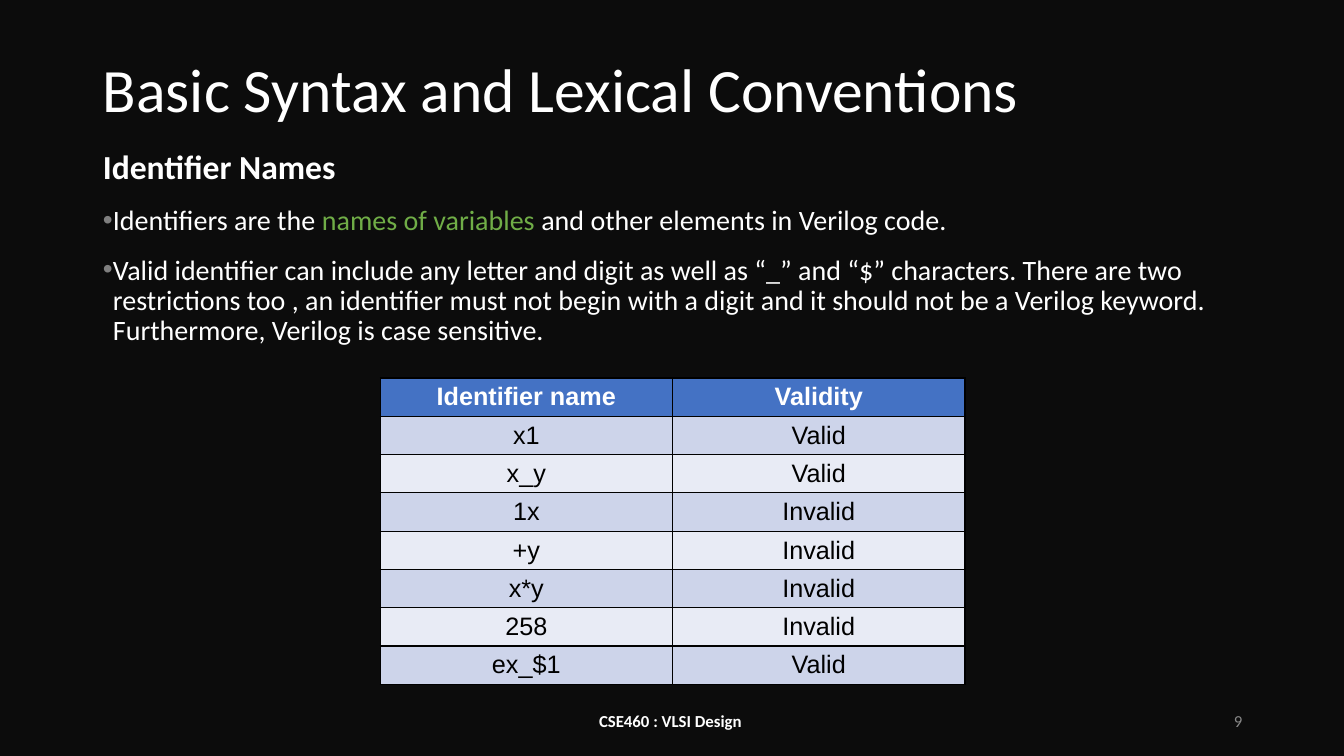
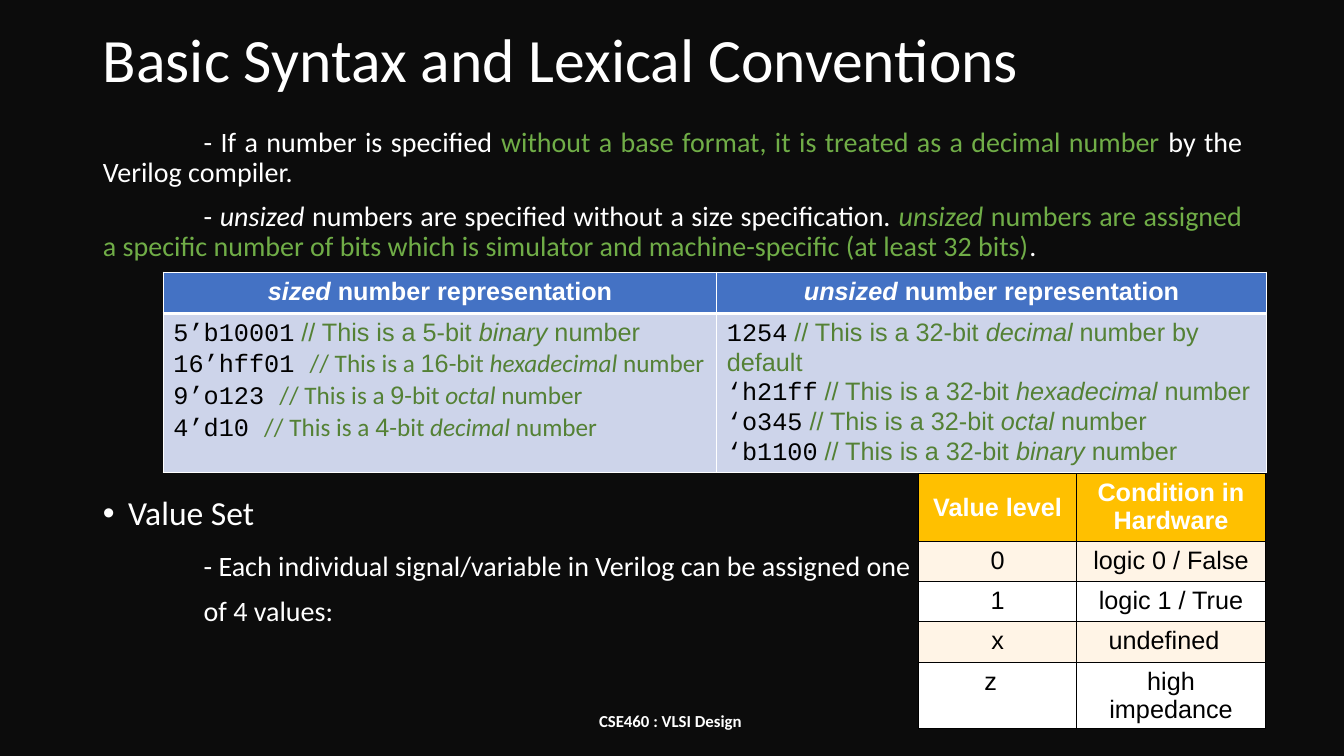
"""Build two lecture slides on Verilog syntax and lexical conventions."""
from dataclasses import dataclass
from typing import Optional, Sequence

from pptx import Presentation
from pptx.dml.color import RGBColor
from pptx.enum.text import MSO_ANCHOR, MSO_AUTO_SIZE, PP_ALIGN
from pptx.oxml.ns import qn
from pptx.slide import Slide
from pptx.text.text import TextFrame
from pptx.util import Inches, Pt
from lxml import etree

LEFT, CENTER, RIGHT, JUSTIFY = PP_ALIGN.LEFT, PP_ALIGN.CENTER, PP_ALIGN.RIGHT, PP_ALIGN.JUSTIFY
TOP, MIDDLE = MSO_ANCHOR.TOP, MSO_ANCHOR.MIDDLE
NO_AUTOFIT = MSO_AUTO_SIZE.NONE

BACKDROP, WHITE, BLACK = "0C0C0C", "FFFFFF", "000000"
GREEN, COMMENT_GREEN = "70AD47", "548135"
GRAY, BULLET_GRAY = "888888", "7F7F7F"
BLUE, BLUE_BANDS = "4472C4", ("CDD4EA", "E8EBF5")
GOLD, GOLD_BANDS = "FFC000", ("FFF4E6", "FFFFFF")
SANS, TABLE_FONT, CODE_FONT = "Calibri", "Arial", "Courier New"
TITLE = "Basic Syntax and Lexical Conventions"
COURSE = "CSE460 : VLSI Design"
MARGIN, CONTENT_WIDTH = 0.92, 11.5


@dataclass(frozen=True)
class Span:
    """A run of text with its look."""
    text: str
    color: str = WHITE
    size: float = 20
    font: str = SANS
    bold: bool = False
    italic: bool = False


@dataclass(frozen=True)
class Para:
    """A paragraph with its spacing, indents and bullet colour."""
    spans: Sequence[Span]
    align: PP_ALIGN = LEFT
    before: float = 0
    left: float = 0
    first: float = 0
    bullet: Optional[str] = None
    line: float = 0.9


@dataclass(frozen=True)
class Entry:
    """The content of a table cell."""
    paras: Sequence[Para]
    anchor: MSO_ANCHOR = TOP
    right_inset: float = 0.1


@dataclass(frozen=True)
class Grid:
    """A table with a header row and banded rows."""
    left: float
    top: float
    widths: Sequence[float]
    heights: Sequence[float]
    header: str
    bands: Sequence[str]
    border: str
    rows: Sequence[Sequence[Entry]]
    header_rule: float = 1


def rgb(value: str) -> RGBColor:
    """Turn a hex string into a colour."""
    return RGBColor.from_string(value)


def write(frame: TextFrame, paras: Sequence[Para]) -> None:
    """Fill a text frame with paragraphs, run by run."""
    for index, para in enumerate(paras):
        paragraph = frame.paragraphs[0] if index == 0 else frame.add_paragraph()
        paragraph.alignment = para.align
        paragraph.line_spacing = para.line
        paragraph.space_before, paragraph.space_after = Pt(para.before), Pt(0)
        properties = paragraph._p.get_or_add_pPr()
        properties.set("marL", str(Inches(para.left)))
        properties.set("indent", str(Inches(para.first)))
        if para.bullet:
            tint = etree.SubElement(properties, qn("a:buClr"))
            etree.SubElement(tint, qn("a:srgbClr"), val=para.bullet)
            etree.SubElement(properties, qn("a:buFont"), typeface="Arial")
            etree.SubElement(properties, qn("a:buChar"), char="•")
        else:
            etree.SubElement(properties, qn("a:buNone"))
        for span in para.spans:
            run = paragraph.add_run()
            run.text = span.text
            run.font.name, run.font.size = span.font, Pt(span.size)
            run.font.bold, run.font.italic = span.bold, span.italic
            run.font.color.rgb = rgb(span.color)


def place(shape, left: float, top: float, width: float, height: float) -> None:
    """Move and size a shape in inches."""
    shape.left, shape.top = Inches(left), Inches(top)
    shape.width, shape.height = Inches(width), Inches(height)


def add_note(slide: Slide, left: float, width: float, span: Span, align: PP_ALIGN) -> None:
    """Add one text of the footer line."""
    note = slide.shapes.add_textbox(Inches(left), Inches(6.95), Inches(width), Inches(0.4))
    note.text_frame.word_wrap = True
    note.text_frame.vertical_anchor = MIDDLE
    write(note.text_frame, [Para([span], align, line=1)])


def add_slide(prs, title_box: Sequence[float], body_box: Sequence[float],
              paras: Sequence[Para], body_inset: float = 0.05) -> Slide:
    """Add a slide with title, body and course footer."""
    slide = prs.slides.add_slide(prs.slide_layouts[1])
    title, body = slide.shapes.title, slide.placeholders[1]
    for part, (top, height) in ((title, title_box), (body, body_box)):
        place(part, MARGIN, top, CONTENT_WIDTH, height)
        part.text_frame.auto_size = NO_AUTOFIT
        part.text_frame.word_wrap = True
    title.text_frame.vertical_anchor = MIDDLE
    body.text_frame.vertical_anchor = TOP
    body.text_frame.margin_top = Inches(body_inset)
    write(title.text_frame, [Para([Span(TITLE, size=44)])])
    write(body.text_frame, paras)
    add_note(slide, 4.4, 4.5, Span(COURSE, size=12, bold=True), CENTER)
    return slide


def add_border(cell, side: str, color: str, width: float) -> None:
    """Draw one side of a cell."""
    line = etree.SubElement(cell._tc.get_or_add_tcPr(), qn(f"a:ln{side}"), w=str(Pt(width)))
    fill = etree.SubElement(line, qn("a:solidFill"))
    etree.SubElement(fill, qn("a:srgbClr"), val=color)


def add_grid(slide: Slide, grid: Grid) -> None:
    """Add a table with its fills, borders and text."""
    table = slide.shapes.add_table(
        len(grid.heights), len(grid.widths), Inches(grid.left), Inches(grid.top),
        Inches(sum(grid.widths)), Inches(sum(grid.heights))).table
    for column, width in zip(table.columns, grid.widths):
        column.width = Inches(width)
    for number, (height, entries) in enumerate(zip(grid.heights, grid.rows)):
        table.rows[number].height = Inches(height)
        for column, entry in enumerate(entries):
            cell = table.cell(number, column)
            for side in "LRTB":
                ruled = (number, side) in ((0, "B"), (1, "T"))
                add_border(cell, side, grid.border, grid.header_rule if ruled else 1)
            cell.fill.solid()
            shade = grid.bands[(number - 1) % 2] if number else grid.header
            cell.fill.fore_color.rgb = rgb(shade)
            cell.vertical_anchor = entry.anchor
            top_inset, bottom_inset = (0.05, 0.01) if entry.anchor == TOP else (0.03, 0.03)
            cell.margin_top, cell.margin_bottom = Inches(top_inset), Inches(bottom_inset)
            cell.margin_right = Inches(entry.right_inset)
            write(cell.text_frame, entry.paras)


def label(text: str, anchor: MSO_ANCHOR = TOP, right_inset: float = 0.1) -> Entry:
    """Make a centred value cell."""
    span = Span(text, BLACK, 18, TABLE_FONT)
    return Entry([Para([span], CENTER, line=1)], anchor, right_inset)


def heading(text: str, emphasis: str = "", anchor: MSO_ANCHOR = TOP) -> Entry:
    """Make a header cell, with an optional word in italics first."""
    spans = [Span(emphasis, WHITE, 18, TABLE_FONT, True, True)] if emphasis else []
    spans.append(Span(text, WHITE, 18, TABLE_FONT, True))
    return Entry([Para(spans, CENTER, line=1)], anchor)


def code_line(code: str, bits: str, base: str, font: str = TABLE_FONT,
              ending: str = " number") -> Para:
    """Make a number literal followed by its comment."""
    gap_font = TABLE_FONT if font == TABLE_FONT else CODE_FONT
    return Para([
        Span(code, BLACK, 18, CODE_FONT),
        Span(" ", BLACK, 18, gap_font),
        Span("// This is a ", COMMENT_GREEN, 18, font),
        Span(bits, COMMENT_GREEN, 18, TABLE_FONT),
        Span("-bit ", COMMENT_GREEN, 18, font),
        Span(base, COMMENT_GREEN, 18, font, italic=True),
        Span(ending, COMMENT_GREEN, 18, font),
    ], line=1)


def build_identifiers(prs) -> None:
    """Build the slide on identifier names."""
    rule = dict(before=14, left=0.1, first=-0.1, bullet=BULLET_GRAY)
    slide = add_slide(prs, (0.4, 1.04), (1.44, 5.32), [
        Para([Span("Identifier Names", size=24, bold=True)]),
        Para([Span("Identifiers are the "), Span("names of variables ", GREEN),
              Span("and other elements in Verilog code.")], **rule),
        Para([Span("Valid identifier can include any letter and digit as well as “_” and “$” "
                   "characters. There are two restrictions too , an identifier must not begin "
                   "with a digit and it should not be a Verilog keyword. Furthermore, Verilog "
                   "is case sensitive.")], **rule),
    ])
    add_note(slide, 9.42, 3, Span("9", GRAY, 12), RIGHT)
    validity = {"x1": "Valid", "x_y": "Valid", "1x": "Invalid", "+y": "Invalid",
                "x*y": "Invalid", "258": "Invalid", "ex_$1": "Valid"}
    rows = [[heading(text, anchor=MIDDLE) for text in ("Identifier name", "Validity")]]
    rows += [[label(text, MIDDLE) for text in pair] for pair in validity.items()]
    add_grid(slide, Grid(3.77, 3.75, (2.9, 2.9), [0.38] * len(rows),
                         BLUE, BLUE_BANDS, BLACK, rows))


def build_numbers(prs) -> None:
    """Build the slide on number formats and the value set."""
    slide = add_slide(prs, (0.15, 0.95), (1.1, 5.85), [
        Para([Span("- If a number is specified "),
              Span("without a base format, it is treated as a decimal number ", GREEN),
              Span("by the Verilog compiler.")], JUSTIFY, first=1),
        Para([Span("- "), Span("unsized ", italic=True),
              Span("numbers are specified without a size specification. "),
              Span("unsized ", GREEN, italic=True),
              Span("numbers are assigned a specific number of bits which is simulator and "
                   "machine-specific (at least 32 bits)", GREEN), Span(".")],
             JUSTIFY, before=10, first=1),
        Para([Span("Value Set", size=24)], before=167, left=0.25, first=-0.25, bullet=WHITE),
        Para([Span("- Each individual signal/variable in Verilog can be assigned one")],
             before=14, left=1),
        Para([Span("of 4 values:")], before=10, left=1),
    ], body_inset=0.17)
    sized = [
        code_line("5’b10001", "5", "binary"),
        code_line("16’hff01", "16", "hexadecimal", SANS),
        code_line("9’o123", "9", "octal", SANS),
        code_line("4’d10", "4", "decimal", SANS),
    ]
    unsized = [
        code_line("1254", "32", "decimal", ending=" number by default"),
        code_line("‘h21ff", "32", "hexadecimal"),
        code_line("‘o345", "32", "octal"),
        code_line("‘b1100", "32", "binary"),
    ]
    literal_rows = [[heading(" number representation", kind) for kind in ("sized", "unsized")],
                    [Entry(sized), Entry(unsized)]]
    add_grid(slide, Grid(1.62, 2.7, (5.49, 5.45), (0.41, 1.58), BLUE, BLUE_BANDS, WHITE,
                         literal_rows, header_rule=3))
    level_rows = [
        [heading("Value level", anchor=MIDDLE), heading("Condition in Hardware")],
        [label("0"), label("logic 0 / False")],
        [label("1"), label("logic 1 / True")],
        [label("x"), label("undefined", right_inset=0.24)],
        [label("z", right_inset=0.24), label("high impedance")],
    ]
    add_grid(slide, Grid(9.11, 4.7, (1.57, 1.87), (0.67, 0.4, 0.4, 0.4, 0.66),
                         GOLD, GOLD_BANDS, BLACK, level_rows))


def main() -> None:
    """Build and save the presentation."""
    prs = Presentation()
    prs.slide_width, prs.slide_height = Inches(13.33), Inches(7.5)
    backdrop = prs.slide_master.background.fill
    backdrop.solid()
    backdrop.fore_color.rgb = rgb(BACKDROP)
    build_identifiers(prs)
    build_numbers(prs)
    prs.save("out.pptx")


if __name__ == "__main__":
    main()
